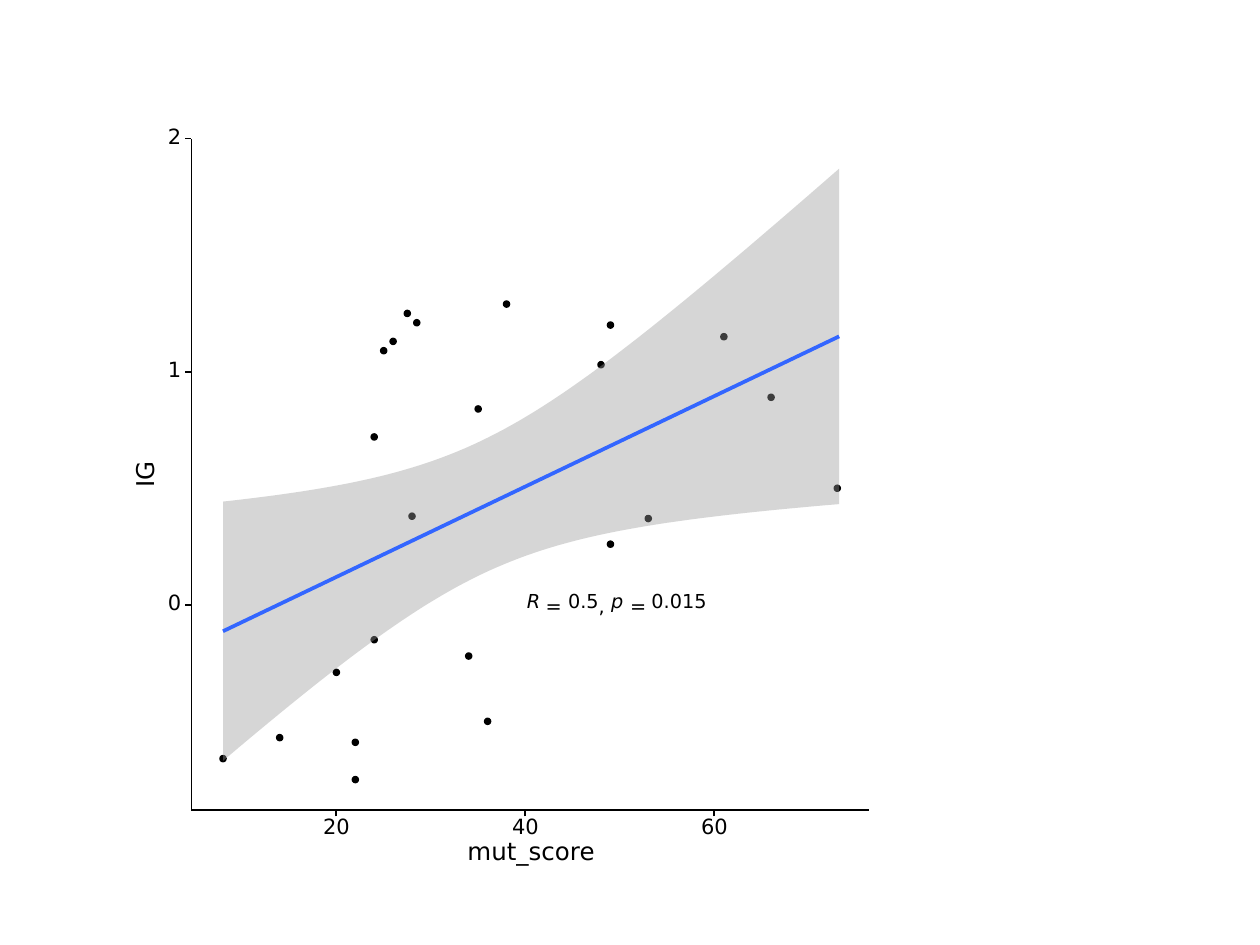
import math
import pptx
import pptx.dml.color
import pptx.enum.shapes
import pptx.enum.text
import pptx.oxml.ns
import pptx.util
from lxml import etree
from pptx.util import Inches

qn = pptx.oxml.ns.qn
color = pptx.dml.color.RGBColor.from_string

deck = pptx.Presentation()
deck.slide_width, deck.slide_height = Inches(10), Inches(7.5)
slide = deck.slides.add_slide(deck.slide_layouts[6])
shapes = slide.shapes
kinds = pptx.enum.shapes.MSO_SHAPE


def rule(x1, y1, x2, y2, width=1.07, ink="000000"):
    """Draw a straight line without a shadow."""
    line = shapes.add_connector(
        pptx.enum.shapes.MSO_CONNECTOR.STRAIGHT,
        Inches(x1), Inches(y1), Inches(x2), Inches(y2))
    line.line.width = pptx.util.Pt(width)
    line.line.color.rgb = color(ink)
    etree.SubElement(line._element.spPr, qn("a:effectLst"))


def label(text, left, top, width, height, size, italic=False, turn=0):
    """Centre text on a tight frame, with a little slack so it stays on one line."""
    slack = 0.02
    box = shapes.add_textbox(
        Inches(left - slack), Inches(top), Inches(width + 2 * slack), Inches(height))
    box.rotation = turn
    frame = box.text_frame
    frame.margin_left = frame.margin_right = frame.margin_top = frame.margin_bottom = 0
    frame.word_wrap = False
    frame.vertical_anchor = pptx.enum.text.MSO_ANCHOR.MIDDLE
    frame.text = text
    para = frame.paragraphs[0]
    para.alignment = pptx.enum.text.PP_ALIGN.CENTER
    para.line_spacing = pptx.util.Pt(size)
    font = para.runs[0].font
    font.name, font.size, font.italic = "DejaVu Sans", pptx.util.Pt(size), italic
    font.color.rgb = color("000000")


# Panel
panel = shapes.add_shape(kinds.RECTANGLE, Inches(1), Inches(1), Inches(6), Inches(6))
panel.shadow.inherit = False
panel.fill.solid()
panel.fill.fore_color.rgb = color("FFFFFF")
panel.line.color.rgb = color("FFFFFF")
panel.line.width = pptx.util.Pt(0.75)

# Points as (mut_score, IG), placed by the axis scales
zero_x, zero_y = 1.17, 4.8
step_x, step_y = 1.5 / 20, 1.85
dot = 0.05
points = [
    (24, -0.15), (34, -0.22), (73, 0.5), (36, -0.5), (27.5, 1.25), (66, 0.89),
    (38, 1.29), (53, 0.37), (8, -0.66), (24, 0.72), (35, 0.84), (49, 0.26),
    (49, 1.2), (20, -0.29), (28, 0.38), (22, -0.59), (28.5, 1.21), (61, 1.15),
    (14, -0.57), (22, -0.75), (26, 1.13), (48, 1.03), (25, 1.09),
]
for score, ig in points:
    mark = shapes.add_shape(
        kinds.OVAL, Inches(zero_x + score * step_x - dot / 2),
        Inches(zero_y - ig * step_y - dot / 2), Inches(dot), Inches(dot))
    mark.shadow.inherit = False
    mark.fill.solid()
    mark.fill.fore_color.rgb = color("000000")
    mark.line.color.rgb = color("000000")
    mark.line.width = pptx.util.Pt(0.71)

# Confidence band: narrowest at the mean score, hyperbolic on both sides
start, end = (1.77, 5.01), (6.66, 2.67)
mean = 3.82
count = 80
upper, lower = [], []
for i in range(count):
    part = i / (count - 1)
    x = start[0] + part * (end[0] - start[0])
    fit = start[1] + part * (end[1] - start[1])
    half = math.hypot(0.53, 0.43 * (x - mean))
    upper.append((Inches(x), Inches(fit - half)))
    lower.append((Inches(x), Inches(fit + half)))
edge = upper + lower[::-1]
pen = shapes.build_freeform(*edge[0])
pen.add_line_segments(edge[1:], close=True)
band = pen.convert_to_shape()
band.shadow.inherit = False
band.fill.solid()
band.fill.fore_color.rgb = color("999999")
band.line.fill.background()
tint = band._element.spPr.find(qn("a:solidFill"))[0]
etree.SubElement(tint, qn("a:alpha"), val="40000")

rule(*start, *end, 2.13, "3366FF")

# Correlation
for text, left, top, width, height in [
    ("R", 4.18, 4.73, 0.11, 0.11), ("=", 4.33, 4.8, 0.13, 0.04),
    ("0.5", 4.51, 4.72, 0.24, 0.12), (",", 4.75, 4.8, 0.05, 0.04),
    ("p", 4.85, 4.72, 0.1, 0.12), ("=", 5, 4.8, 0.13, 0.04),
    ("0.015", 5.17, 4.72, 0.44, 0.12),
]:
    label(text, left, top, width, height, 11, italic=text.isalpha())

# Axes
axis_x, axis_y, tick = 1.52, 6.43, 0.05
rule(axis_x, axis_y, axis_x, 1.1)
for value in (0, 1, 2):
    y = zero_y - value * step_y
    label(str(value), 1.33, y - 0.07, 0.11, 0.13, 12)
    rule(axis_x - tick, y, axis_x, y)
rule(axis_x, axis_y, 6.9, axis_y)
for value in (20, 40, 60):
    x = zero_x + value * step_x
    rule(x, axis_y + tick, x, axis_y)
    label(str(value), x - 0.11, 6.51, 0.22, 0.13, 12)
label("mut_score", 3.71, 6.68, 1.01, 0.18, 14)
label("IG", 1.06, 3.69, 0.21, 0.15, 14, turn=270)

deck.save("out.pptx")
